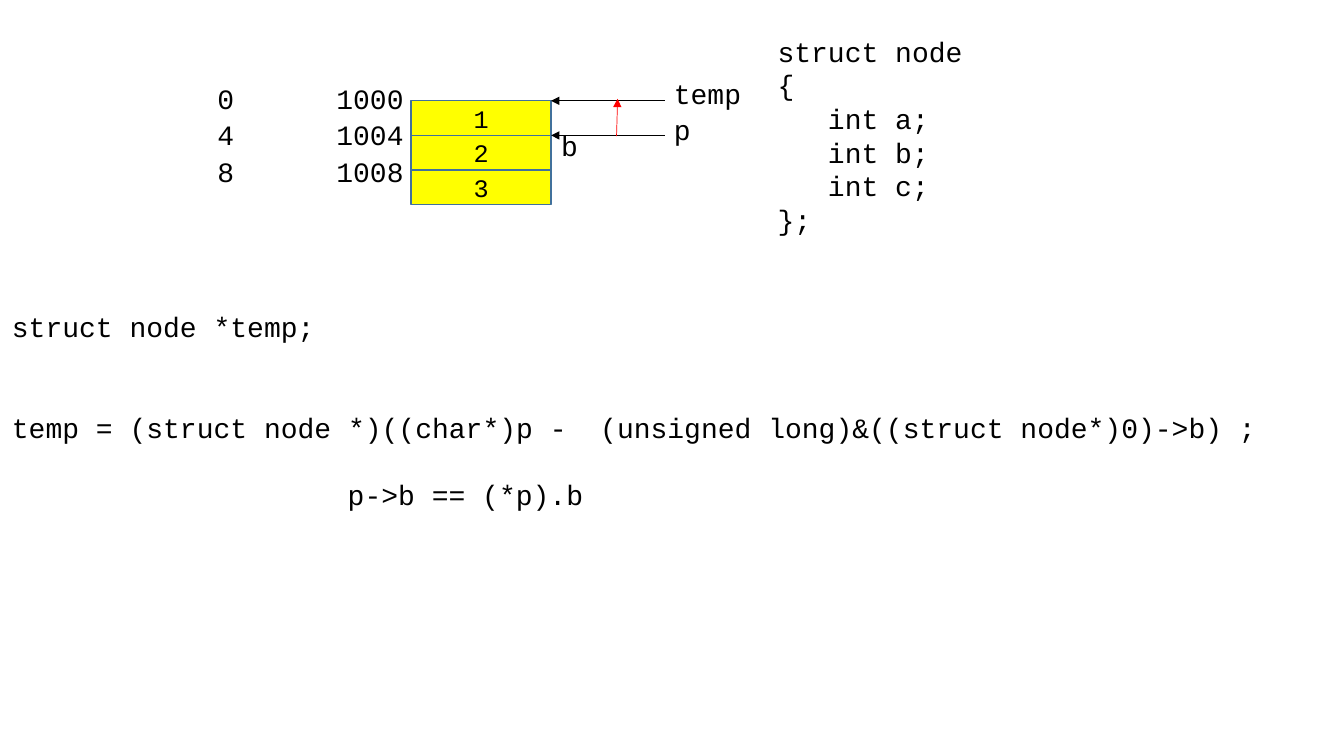
from lxml import etree
from pptx import Presentation
from pptx import util as u
from pptx.dml.color import RGBColor
from pptx.enum import shapes, text
from pptx.oxml.ns import qn

INK = {"black": "000000", "red": "FF0000", "cell": "FFFF00", "edge": "41719C"}


class Board:
    font = "Courier New"
    size = 20
    pitch = 24
    glyph = 12

    def __init__(self, deck):
        self.slide = deck.slides.add_slide(deck.slide_layouts[6])

    def color(self, name):
        return RGBColor.from_string(INK[name])

    def style(self, para, size):
        para.font.name = self.font
        para.font.size = u.Pt(size)
        para.font.color.rgb = self.color("black")

    def cell(self, x, y, w, h, label):
        box = self.slide.shapes.add_shape(
            shapes.MSO_SHAPE.RECTANGLE, *map(u.Inches, (x, y, w, h)))
        box.shadow.inherit = False
        box.fill.solid()
        box.fill.fore_color.rgb = self.color("cell")
        box.line.color.rgb = self.color("edge")
        box.line.width = u.Pt(1)
        frame = box.text_frame
        frame.vertical_anchor = text.MSO_ANCHOR.MIDDLE
        para = frame.paragraphs[0]
        para.text = label
        para.alignment = text.PP_ALIGN.CENTER
        self.style(para, 18)

    def code(self, x, y, w, h, *lines):
        box = self.slide.shapes.add_textbox(*map(u.Inches, (x, y, w, h)))
        frame = box.text_frame
        frame.word_wrap = False
        for i, (line, indent, skip) in enumerate(lines):
            para = frame.add_paragraph() if i else frame.paragraphs[0]
            para.text = line
            para.line_spacing = u.Pt(self.pitch)
            para.space_before = u.Pt(skip * self.pitch)
            if indent:
                props = para._p.get_or_add_pPr()
                props.set("marL", str(u.Pt(indent * self.glyph)))
                props.set("indent", "0")
            self.style(para, self.size)

    def label(self, x, y, word):
        self.code(x, y, 0.2 + len(word) / 6, 0.44, (word, 0, 0))

    def arrow(self, x1, y1, x2, y2, color):
        line = self.slide.shapes.add_connector(
            shapes.MSO_CONNECTOR.STRAIGHT, *map(u.Inches, (x1, y1, x2, y2)))
        line.line.color.rgb = self.color(color)
        line.line.width = u.Pt(0.5)
        etree.SubElement(line.line._get_or_add_ln(), qn("a:tailEnd"), type="triangle")
        etree.SubElement(line._element.spPr, qn("a:effectLst"))


def main():
    deck = Presentation()
    deck.slide_width = u.Inches(13.34)
    deck.slide_height = u.Inches(7.5)
    board = Board(deck)

    left, top, wide, high = 4.08, 1, 1.39, 1.03 / 3
    for i in range(3):
        board.cell(left, top + i * high, wide, high, str(i + 1))
        row = 0.76 + i * 0.36
        board.label(2.06, row, str(4 * i))
        board.label(3.24, row, str(1000 + 4 * i))

    for i, (name, y) in enumerate((("temp", 0.71), ("p", 1.07))):
        side = top + i * high
        board.arrow(6.6, side, left + wide, side, "black")
        board.label(6.59, y, name)
    board.label(5.47, 1.23, "b")
    board.arrow(6.12, 1.35, 6.13, 0.98, "red")

    board.code(7.62, 0.29, 2.04, 2.1,
               ("struct node", 0, 0), ("{", 0, 0),
               *((f"int {name};", 3, 0) for name in "abc"),
               ("};", 0, 0))
    board.code(0.02, 3.02, 12.6, 2.1,
               ("struct node *temp;", 0, 0),
               ("temp = (struct node *)((char*)p -  "
                "(unsigned long)&((struct node*)0)->b) ;", 0, 2),
               ("p->b == (*p).b", 20, 1))
    deck.save("out.pptx")


if __name__ == "__main__":
    main()
